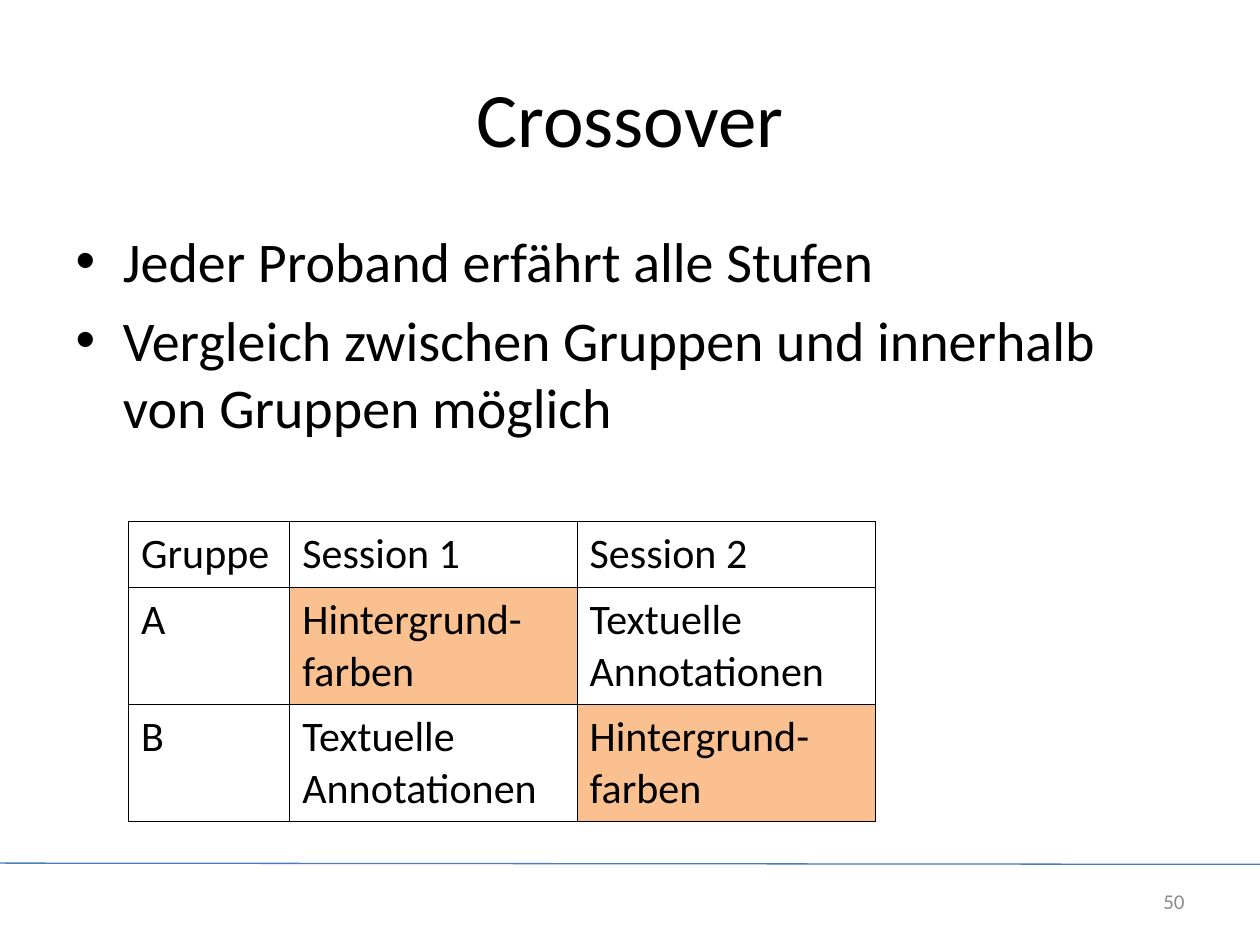
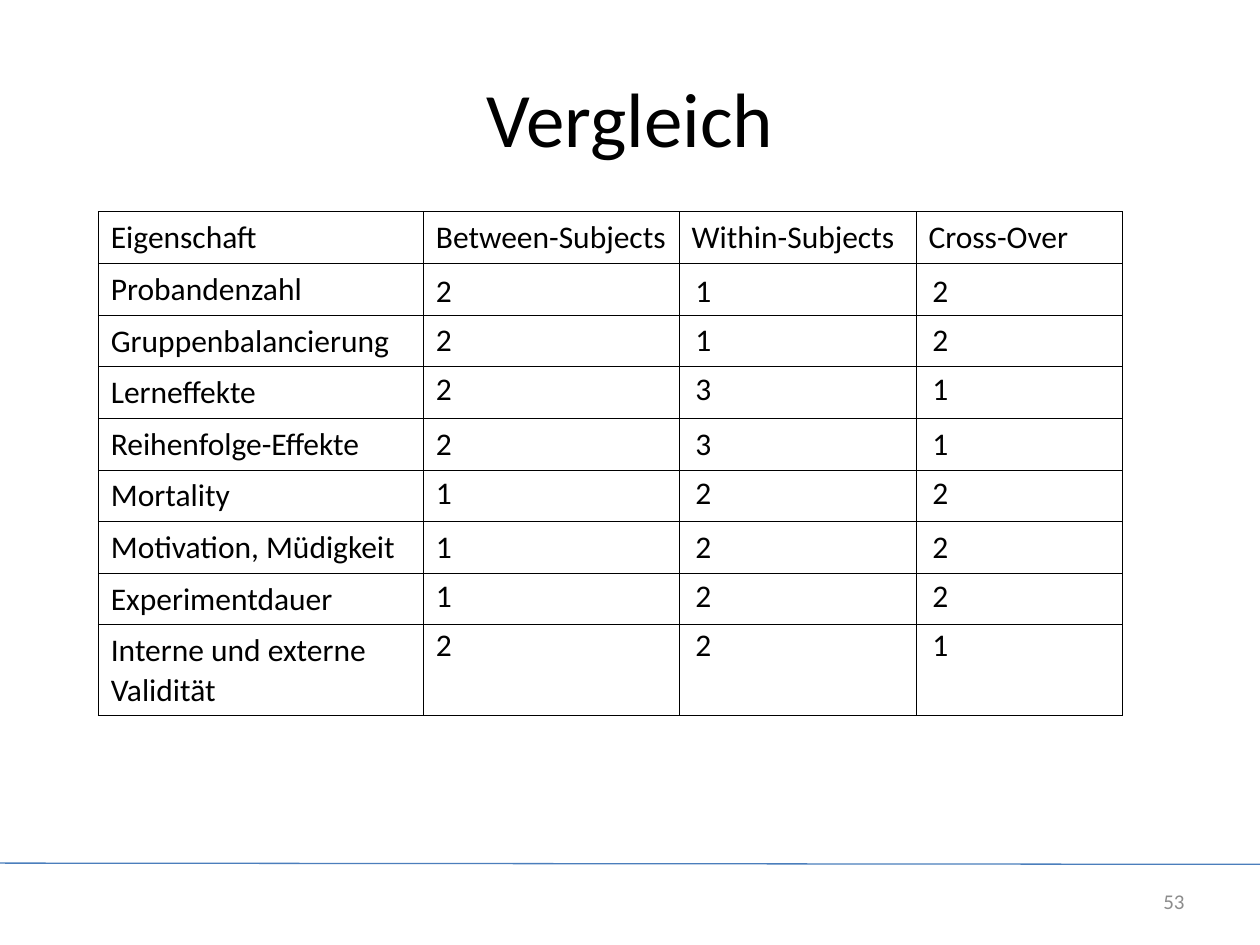
from dataclasses import dataclass

from lxml import etree
from pptx import Presentation
from pptx.dml.color import RGBColor
from pptx.enum.shapes import MSO_CONNECTOR
from pptx.enum.text import MSO_ANCHOR, PP_ALIGN
from pptx.oxml.ns import qn
from pptx.slide import Slide
from pptx.text.text import _Paragraph
from pptx.util import Emu, Inches, Pt

STRAIGHT = MSO_CONNECTOR.STRAIGHT
MIDDLE = MSO_ANCHOR.MIDDLE
CENTER, RIGHT = PP_ALIGN.CENTER, PP_ALIGN.RIGHT

BLACK = RGBColor(0x00, 0x00, 0x00)
WHITE = RGBColor(0xFF, 0xFF, 0xFF)
GREY = RGBColor(0x8C, 0x8C, 0x8C)
BLUE = RGBColor(0x4B, 0x7E, 0xBC)
ORANGE = RGBColor(0xFA, 0xC0, 0x90)
FONT = "Calibri"

# The slide is a grid of 100 columns by 75 rows.
COLS, ROWS = 100, 75
WIDTH, HEIGHT = Inches(10), Inches(7.5)
LAYOUT_CONTENT, LAYOUT_TITLE_ONLY = 1, 5


@dataclass(frozen=True)
class Box:
    left: float
    top: float
    width: float
    height: float

    def emu(self) -> tuple[Emu, Emu, Emu, Emu]:
        return grid(self.left), grid(self.top), grid(self.width), grid(self.height)


@dataclass(frozen=True)
class Borders:
    """Border colour, with widths in points for the sides and the bottom."""
    color: RGBColor
    sides: float
    bottom: float


@dataclass(frozen=True)
class TableSpec:
    left: float
    top: float
    col_widths: list[float]
    row_heights: list[float]
    texts: list[list[str]]
    size: int
    borders: Borders
    highlight: str = ""
    line_spacing: float = 1.02


TITLE_BOX = Box(5, 3, 90, 12.5)
BODY_BOX = Box(5, 17.5, 90, 49.5)
NUMBER_BOX = Box(85.9, 69.5, 9.1, 4)
FOOTER_RULE = 68.5

BLACK_GRID = Borders(BLACK, 0.45, 0.45)
WHITE_GRID = Borders(WHITE, 1, 3)

BACKGROUNDS, ANNOTATIONS = "Hintergrund-farben", "Textuelle Annotationen"
CROSSOVER_BULLETS = [
    "Jeder Proband erfährt alle Stufen",
    "Vergleich zwischen Gruppen und innerhalb von Gruppen möglich",
]
CROSSOVER = TableSpec(
    10.2, 41.4, [12.8, 22.8, 23.7], [5.2, 9.3, 9.3],
    [["Gruppe", "Session 1", "Session 2"],
     ["A", BACKGROUNDS, ANNOTATIONS],
     ["B", ANNOTATIONS, BACKGROUNDS]],
    24, BLACK_GRID, highlight=BACKGROUNDS)

DESIGNS = ["Between-Subjects", "Within-Subjects", "Cross-Over"]
PROPERTY_WIDTH, DESIGN_WIDTHS = 25.8, [20.3, 18.8, 16.4]
RANK_WIDTHS = [20.6, 18.8, 16.4]
RANK_LEFT, RANK_HEIGHT = 33.6, 4.1


@dataclass(frozen=True)
class Property:
    name: str
    ranks: str
    ranks_top: float
    line_spacing: float = 1.02


PROPERTIES = [
    Property("Probandenzahl", "212", 21.1, 1),
    Property("Gruppenbalancierung", "212", 25, 1),
    Property("Lerneffekte", "231", 28.9, 1),
    Property("Reihenfolge-Effekte", "231", 33.3, 1),
    Property("Mortality", "122", 37.1),
    Property("Motivation, Müdigkeit", "122", 41.4),
    Property("Experimentdauer", "122", 45.3),
    Property("Interne und externe Validität", "221", 49.2),
]


def grid(units: float) -> Emu:
    return Emu(round(units * WIDTH / COLS))


def add_run(p: _Paragraph, text: str, size: int, color: RGBColor = BLACK) -> None:
    r = p.add_run()
    r.text = text
    r.font.name, r.font.size = FONT, Pt(size)
    r.font.color.rgb = color


def place(sp, box: Box) -> None:
    sp.left, sp.top, sp.width, sp.height = box.emu()


def add_base_slide(prs: Presentation, layout: int, title: str, number: str) -> Slide:
    """Add a slide with its title, footer rule and page number."""
    slide = prs.slides.add_slide(prs.slide_layouts[layout])
    rule = slide.shapes.add_connector(
        STRAIGHT, 0, grid(FOOTER_RULE), WIDTH, grid(FOOTER_RULE + 0.1))
    rule.line.color.rgb, rule.line.width = BLUE, Pt(0.75)
    etree.SubElement(rule._element.spPr, qn("a:effectLst"))

    sp = slide.shapes.title
    place(sp, TITLE_BOX)
    sp.text_frame.vertical_anchor = MIDDLE
    p = sp.text_frame.paragraphs[0]
    p.alignment = CENTER
    add_run(p, title, 44)

    tf = slide.shapes.add_textbox(*NUMBER_BOX.emu()).text_frame
    tf.word_wrap, tf.vertical_anchor = True, MIDDLE
    p = tf.paragraphs[0]
    p.alignment = RIGHT
    add_run(p, number, 12, GREY)
    return slide


def fill_body(slide: Slide, bullets: list[str]) -> None:
    sp = slide.placeholders[1]
    place(sp, BODY_BOX)
    tf = sp.text_frame
    for i, bullet in enumerate(bullets):
        p = tf.add_paragraph() if i else tf.paragraphs[0]
        add_run(p, bullet, 32)


def set_borders(cell, borders: Borders) -> None:
    props = cell._tc.get_or_add_tcPr()
    for i, side in enumerate(("lnL", "lnR", "lnT", "lnB")):
        width = borders.bottom if side == "lnB" else borders.sides
        ln = etree.Element(qn(f"a:{side}"), w=str(Pt(width)))
        fill = etree.SubElement(ln, qn("a:solidFill"))
        etree.SubElement(fill, qn("a:srgbClr"), val=str(borders.color))
        props.insert(i, ln)


def add_table(slide: Slide, spec: TableSpec) -> None:
    box = Box(spec.left, spec.top, sum(spec.col_widths), sum(spec.row_heights))
    table = slide.shapes.add_table(
        len(spec.row_heights), len(spec.col_widths), *box.emu()).table
    table.first_row = table.horz_banding = False
    for col, width in zip(table.columns, spec.col_widths):
        col.width = grid(width)
    for row, height, texts in zip(table.rows, spec.row_heights, spec.texts):
        row.height = grid(height)
        for cell, text in zip(row.cells, texts):
            if text and text == spec.highlight:
                cell.fill.solid()
                cell.fill.fore_color.rgb = ORANGE
            else:
                cell.fill.background()
            set_borders(cell, spec.borders)
            if text:
                p = cell.text_frame.paragraphs[0]
                p.line_spacing = spec.line_spacing
                add_run(p, text, spec.size)


def build_crossover(prs: Presentation) -> None:
    slide = add_base_slide(prs, LAYOUT_CONTENT, "Crossover", "50")
    fill_body(slide, CROSSOVER_BULLETS)
    add_table(slide, CROSSOVER)


def build_comparison(prs: Presentation) -> None:
    """Put one row of ranks per property beneath the ruled table."""
    slide = add_base_slide(prs, LAYOUT_TITLE_ONLY, "Vergleich", "53")
    for prop in PROPERTIES:
        add_table(slide, TableSpec(
            RANK_LEFT, prop.ranks_top, RANK_WIDTHS, [RANK_HEIGHT],
            [list(prop.ranks)], 18, WHITE_GRID, line_spacing=prop.line_spacing))
    names = [[prop.name] + [""] * len(DESIGNS) for prop in PROPERTIES]
    add_table(slide, TableSpec(
        7.8, 16.8, [PROPERTY_WIDTH] + DESIGN_WIDTHS,
        [RANK_HEIGHT] * len(PROPERTIES) + [7.2],
        [["Eigenschaft"] + DESIGNS] + names, 18, BLACK_GRID))


def main() -> None:
    prs = Presentation()
    prs.slide_width, prs.slide_height = WIDTH, HEIGHT
    build_crossover(prs)
    build_comparison(prs)
    prs.save("out.pptx")


if __name__ == "__main__":
    main()
